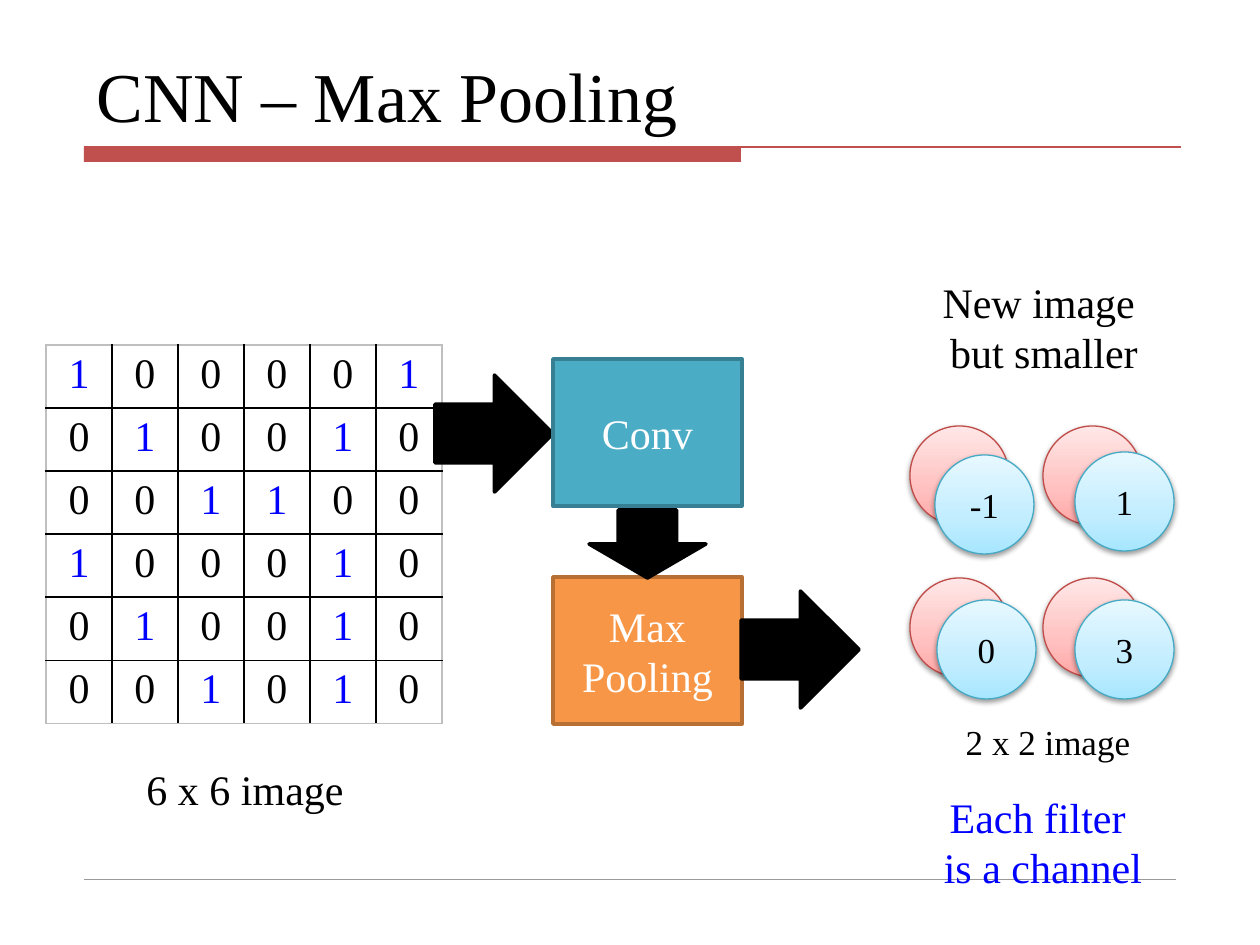
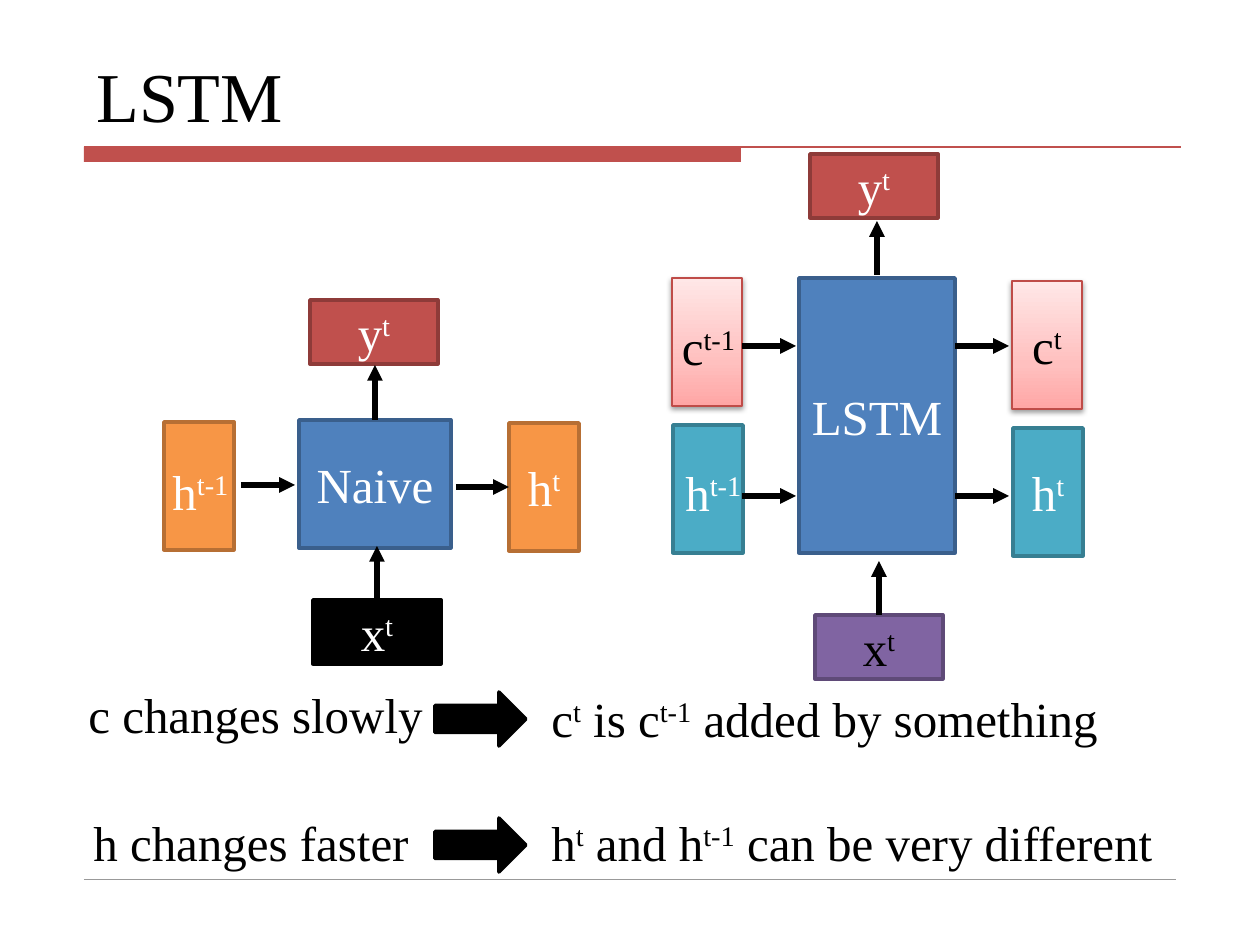
from copy import deepcopy

from lxml.etree import SubElement
from pptx import Presentation
from pptx.dml.color import RGBColor
from pptx.enum.shapes import MSO_CONNECTOR, MSO_SHAPE
from pptx.enum.text import MSO_ANCHOR, PP_ALIGN
from pptx.oxml.ns import qn
from pptx.util import Emu, Pt

PX_PER_INCH = 126
FONT = "Times New Roman"
BLACK, WHITE, BLUE_TEXT = "000000", "FFFFFF", "0000FF"
BAND_RED, FOOTER_GREY, TABLE_EDGE = "C0504D", "999999", "BFBFBF"

# Solid styles: fill, outline
BLUE = ("4F81BD", "3A5F8C")
TEAL = ("4BACC6", "377F92")
ORANGE = ("F79646", "B76F34")
RED = (BAND_RED, "8E3B39")
PURPLE = ("8064A2", "5F4A78")
SOLID_BLACK = (BLACK, BLACK)

# Gradient styles: colours from bottom to top, outline
PINK_GLOW = (("FFA6A5", "FFC0BF", "FFE7E7"), "BF4C48")
SKY_GLOW = (("A7E6FF", "C1EDFF", "E7F8FF"), "46AAC5")
GLOW_STOPS = (0, 0.35, 1)

TOP, LEFT = 0, 1
IMAGE_ROWS = ("100001", "010010", "001100", "100010", "010010", "001010")


def px(value):
    return Emu(round(value * 914400 / PX_PER_INCH))


def box(*lengths):
    return [px(length) for length in lengths]


def rgb(color):
    return RGBColor.from_string(color)


def write(frame, text, size=24, color=BLACK, align=PP_ALIGN.CENTER,
          anchor=MSO_ANCHOR.TOP, wrap=True):
    """Fill a text frame; newlines part paragraphs, ^...^ marks superscript."""
    frame.word_wrap = wrap
    frame.vertical_anchor = anchor
    for index, line in enumerate(text.split("\n")):
        paragraph = frame.add_paragraph() if index else frame.paragraphs[0]
        paragraph.alignment = align
        for part_index, part in enumerate(line.split("^")):
            if not part:
                continue
            run = paragraph.add_run()
            run.text = part
            run.font.name = FONT
            run.font.size = Pt(size)
            run.font.color.rgb = rgb(color)
            if part_index % 2:
                run.font._element.set("baseline", "30000")


def add_label(slide, place, text, **text_format):
    textbox = slide.shapes.add_textbox(*box(*place))
    write(textbox.text_frame, text, **text_format)


def add_solid(slide, kind, place, style, text="", color=WHITE, size=28):
    fill, outline = style
    shape = slide.shapes.add_shape(kind, *box(*place))
    shape.shadow.inherit = False
    shape.fill.solid()
    shape.fill.fore_color.rgb = rgb(fill)
    shape.line.color.rgb = rgb(outline)
    shape.line.width = Pt(2)
    if text:
        write(shape.text_frame, text, size=size, color=color,
              anchor=MSO_ANCHOR.MIDDLE)
    return shape


def add_glow(slide, kind, place, style, text="", size=20):
    """Add a shape with a vertical gradient and a soft shadow below it."""
    colors, outline = style
    shape = slide.shapes.add_shape(kind, *box(*place))
    shape.fill.gradient()
    shape.fill.gradient_angle = 90
    stop_list = shape._element.spPr.find(".//" + qn("a:gsLst"))
    stop_list.insert(1, deepcopy(stop_list[0]))
    for stop, position, color in zip(shape.fill.gradient_stops, GLOW_STOPS, colors):
        stop.position = position
        stop.color.rgb = rgb(color)
    shape.line.color.rgb = rgb(outline)
    shape.line.width = Pt(0.75)
    shape.shadow.inherit = False
    effects = shape._element.spPr.find(qn("a:effectLst"))
    shadow = SubElement(effects, qn("a:outerShdw"), blurRad=str(Pt(3.1)),
                        dist=str(Pt(1.6)), dir="5400000", rotWithShape="0")
    shadow_color = SubElement(shadow, qn("a:srgbClr"), val=BLACK)
    SubElement(shadow_color, qn("a:alpha"), val="38000")
    if text:
        write(shape.text_frame, text, size=size, anchor=MSO_ANCHOR.MIDDLE)


def add_line(slide, start, end, color, width):
    line = slide.shapes.add_connector(MSO_CONNECTOR.STRAIGHT, *box(*start, *end))
    line.line.color.rgb = rgb(color)
    line.line.width = Pt(width)
    SubElement(line._element.spPr, qn("a:effectLst"))
    return line


def add_arrow(slide, start, end, begin=None, finish=None):
    """Draw an arrow; begin and finish are (shape, side) pairs to join."""
    arrow = add_line(slide, start, end, BLACK, 3)
    SubElement(arrow.line._get_or_add_ln(), qn("a:tailEnd"), type="triangle")
    if begin:
        arrow.begin_connect(*begin)
    if finish:
        arrow.end_connect(*finish)


def set_borders(cell, colors):
    properties = cell._tc.get_or_add_tcPr()
    for side, color in colors.items():
        line = SubElement(properties, qn("a:ln" + side), w=str(Pt(1)))
        fill = SubElement(line, qn("a:solidFill"))
        SubElement(fill, qn("a:srgbClr"), val=color)


def add_image_table(slide, left, top, cell_width, cell_height, rows):
    last_row, last_column = len(rows) - 1, len(rows[0]) - 1
    table = slide.shapes.add_table(
        len(rows), len(rows[0]),
        *box(left, top, cell_width * len(rows[0]), cell_height * len(rows))).table
    table.first_row = table.horz_banding = False
    for column in table.columns:
        column.width = px(cell_width)
    for row_index, row in enumerate(rows):
        table.rows[row_index].height = px(cell_height)
        for column_index, value in enumerate(row):
            cell = table.cell(row_index, column_index)
            at_edge = {"L": column_index == 0, "R": column_index == last_column,
                       "T": row_index == 0, "B": row_index == last_row}
            set_borders(cell, {side: TABLE_EDGE if edge else BLACK
                               for side, edge in at_edge.items()})
            cell.fill.background()
            write(cell.text_frame, value,
                  color=BLUE_TEXT if value == "1" else BLACK)


def add_slide(presentation, title):
    slide = presentation.slides.add_slide(presentation.slide_layouts[6])
    band = add_solid(slide, MSO_SHAPE.RECTANGLE, (84, 147, 657, 15), RED)
    band.line.fill.background()
    add_line(slide, (84, 147), (1181, 147), BAND_RED, 0.75)
    add_line(slide, (84, 879), (1176, 879), FOOTER_GREY, 0.25)
    add_label(slide, (84, 42, 1101, 101), title, size=40, align=PP_ALIGN.LEFT,
              anchor=MSO_ANCHOR.BOTTOM)
    return slide


def build_max_pooling(presentation):
    slide = add_slide(presentation, "CNN – Max Pooling")
    add_image_table(slide, 46, 345, 66, 63, IMAGE_ROWS)
    add_label(slide, (83, 757, 324, 63), "6 x 6 image")

    circles = (
        (PINK_GLOW, ((910, 426, ""), (1043, 426, ""),
                     (1043, 578, ""), (910, 578, ""))),
        (SKY_GLOW, ((935, 455, "-1"), (1075, 452, "1"),
                    (1075, 600, "3"), (937, 600, "0"))),
    )
    for style, channel in circles:
        for left, top, value in channel:
            add_glow(slide, MSO_SHAPE.OVAL, (left, top, 99, 99), style, value)

    add_label(slide, (886, 714, 324, 55), "2 x 2 image", size=20)
    add_label(slide, (887, 785, 312, 115), "Each filter \nis a channel",
              color=BLUE_TEXT)
    add_label(slide, (887, 270, 314, 115), "New image \nbut smaller")

    add_solid(slide, MSO_SHAPE.RIGHT_ARROW, (435, 375, 118, 117), SOLID_BLACK)
    add_solid(slide, MSO_SHAPE.RECTANGLE, (553, 359, 189, 147), TEAL, "Conv", size=24)
    add_solid(slide, MSO_SHAPE.RECTANGLE, (553, 577, 189, 147), ORANGE,
              "Max\nPooling", size=24)
    add_solid(slide, MSO_SHAPE.RIGHT_ARROW, (741, 591, 118, 117), SOLID_BLACK)
    add_solid(slide, MSO_SHAPE.DOWN_ARROW, (589, 510, 117, 68), SOLID_BLACK)


def add_state(slide, left, top, style, text=""):
    return add_solid(slide, MSO_SHAPE.RECTANGLE, (left, top, 70, 128), style, text)


def add_port(slide, left, top, style, text, color=WHITE):
    return add_solid(slide, MSO_SHAPE.RECTANGLE, (left, top, 128, 64), style,
                     text, color)


def add_previous_state_label(slide, left, top, text, color=WHITE):
    add_label(slide, (left, top, 89, 72), text, size=28, color=color, wrap=False)


def draw_naive_cell(slide):
    add_state(slide, 164, 422, ORANGE)
    naive = add_solid(slide, MSO_SHAPE.RECTANGLE, (299, 420, 152, 128), BLUE, "Naive")
    next_state = add_state(slide, 509, 423, ORANGE, "h^t^")
    add_port(slide, 310, 300, RED, "y^t^")
    x_port = add_port(slide, 313, 600, SOLID_BLACK, "x^t^")
    add_arrow(slide, (241, 485), (295, 485))
    add_arrow(slide, (456, 487), (509, 487), finish=(next_state, LEFT))
    add_arrow(slide, (375, 420), (375, 365), begin=(naive, TOP))
    add_arrow(slide, (377, 600), (377, 546), begin=(x_port, TOP))
    add_previous_state_label(slide, 156, 455, "h^t-1^")


def draw_lstm_cell(slide):
    add_solid(slide, MSO_SHAPE.RECTANGLE, (799, 278, 156, 275), BLUE, "LSTM")
    add_glow(slide, MSO_SHAPE.RECTANGLE, (672, 278, 70, 128), PINK_GLOW)
    add_glow(slide, MSO_SHAPE.RECTANGLE, (1012, 281, 70, 128), PINK_GLOW,
             "c^t^", size=28)
    add_state(slide, 673, 425, TEAL)
    add_state(slide, 1013, 428, TEAL, "h^t^")
    add_port(slide, 810, 154, RED, "y^t^")
    x_port = add_port(slide, 815, 615, PURPLE, "x^t^", BLACK)
    for y in (346, 496):
        for left in (742, 955):
            add_arrow(slide, (left, y), (left + 54, y))
    add_arrow(slide, (877, 275), (877, 221))
    add_arrow(slide, (879, 615), (879, 561), begin=(x_port, TOP))
    add_previous_state_label(slide, 669, 456, "h^t-1^")
    add_previous_state_label(slide, 664, 310, "c^t-1^", BLACK)


def build_lstm(presentation):
    slide = add_slide(presentation, "LSTM")
    statements = (
        (76, 678, 360, "c changes slowly"),
        (81, 806, 360, "h changes faster"),
        (539, 682, 619, "c^t^ is c^t-1^ added by something"),
        (539, 806, 687, "h^t^ and h^t-1^ can be very different"),
    )
    for left, top, width, text in statements:
        add_label(slide, (left, top, width, 72), text, size=28, align=PP_ALIGN.LEFT)
    for top in (692, 818):
        add_solid(slide, MSO_SHAPE.RIGHT_ARROW, (435, top, 91, 54), SOLID_BLACK)
    draw_naive_cell(slide)
    draw_lstm_cell(slide)


def main():
    presentation = Presentation()
    presentation.slide_width = px(1260)
    presentation.slide_height = px(945)
    build_max_pooling(presentation)
    build_lstm(presentation)
    presentation.save("out.pptx")


if __name__ == "__main__":
    main()
